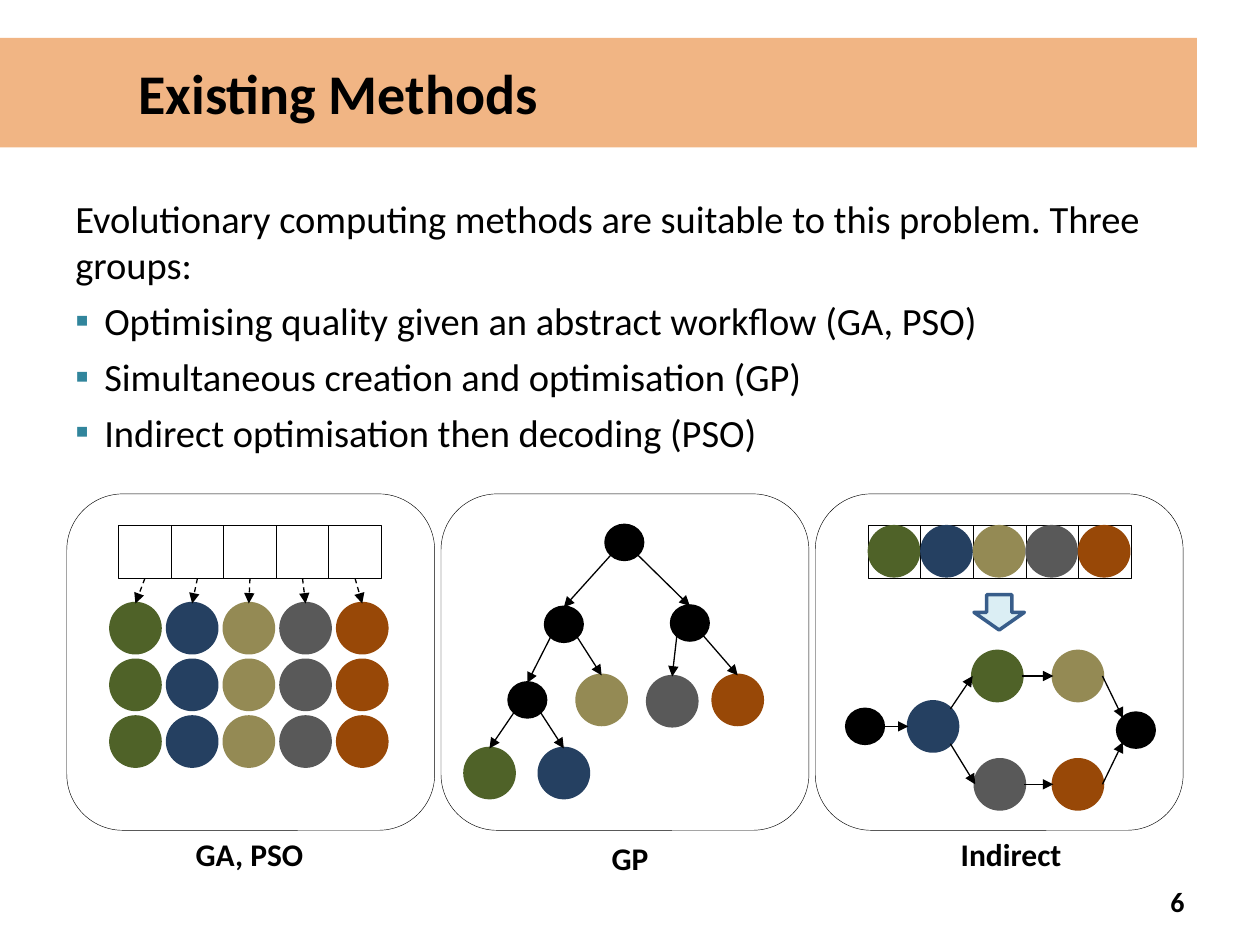
from math import sqrt

from lxml.etree import SubElement
from pptx import Presentation
from pptx.dml.color import RGBColor
from pptx.enum.dml import MSO_LINE
from pptx.enum.shapes import MSO_CONNECTOR, MSO_SHAPE as SHAPE
from pptx.enum.text import MSO_ANCHOR as ANCHOR, PP_ALIGN as ALIGN
from pptx.oxml.ns import qn
from pptx.util import Inches, Pt

FONT = "Calibri"
COLOURS = {
    "banner": "E46C0A", "bullet": "31859C", "black": "000000", "white": "FFFFFF",
    "green": "4F6228", "blue": "254061", "olive": "948A54", "grey": "595959",
    "orange": "984807", "arrow": "DBEEF4", "arrow edge": "385D8A",
}
SERVICES = ["green", "blue", "olive", "grey", "orange"]

TITLE = "Existing Methods"
INTRO = "Evolutionary computing methods are suitable to this problem. Three groups:"
GROUPS = [
    "Optimising quality given an abstract workflow (GA, PSO)",
    "Simultaneous creation and optimisation (GP)",
    "Indirect optimisation then decoding (PSO)",
]
PAGE_NUMBER = "6"
# label, its left, top and width
PANELS = [("GA, PSO", 1.44, 6.58, 1.08), ("GP", 4.75, 6.61, 0.5),
          ("Indirect", 7.21, 6.58, 1.63)]

# node: colour, left, top
TREE_NODES = {
    "root": ("black", 4.81, 4.17), "left": ("black", 4.33, 4.82),
    "right": ("black", 5.33, 4.81), "inner": ("black", 4.04, 5.42),
    "green": ("green", 3.69, 5.94), "blue": ("blue", 4.28, 5.94),
    "olive": ("olive", 4.58, 5.36), "grey": ("grey", 5.14, 5.37),
    "orange": ("orange", 5.66, 5.36),
}
# parent: left child, right child
TREE = {"root": ("left", "right"), "left": ("inner", "olive"),
        "right": ("grey", "orange"), "inner": ("green", "blue")}
FLOW_NODES = {
    "green": ("green", 7.72, 5.17), "blue": ("blue", 7.21, 5.57),
    "grey": ("grey", 7.74, 6.03), "olive": ("olive", 8.36, 5.17),
    "orange": ("orange", 8.36, 6.03), "end": ("black", 8.87, 5.66),
    "start": ("black", 6.72, 5.63),
}
# from node, side, to node, side
FLOW = [
    ("olive", "E", "end", "NW"), ("orange", "E", "end", "SW"),
    ("green", "E", "olive", "W"), ("grey", "E", "orange", "W"),
    ("blue", "NE", "green", "W"), ("blue", "SE", "grey", "W"),
    ("start", "E", "blue", "W"),
]

D = 1 / sqrt(2)
SIDES = {"N": (0, -1), "E": (1, 0), "W": (-1, 0),
         "NE": (D, -D), "SE": (D, D), "SW": (-D, D), "NW": (-D, -D)}
CELL = 0.42
CELL_PITCH = 0.417
CELL_TOP = 4.17
DISC = 0.39
DISC_PITCH = 0.45
DOT = (0.29, 0.27)

prs = Presentation()
prs.slide_width, prs.slide_height = Inches(10), Inches(7.5)
slide = prs.slides.add_slide(prs.slide_layouts[6])


def rgb(name):
    return RGBColor.from_string(COLOURS[name])


def add_block(kind, left, top, width, height, fill, edge=None, weight=0.25,
              parent=slide):
    block = parent.shapes.add_shape(
        kind, Inches(left), Inches(top), Inches(width), Inches(height))
    block.shadow.inherit = False
    block.fill.solid()
    block.fill.fore_color.rgb = rgb(fill)
    if edge:
        block.line.color.rgb = rgb(edge)
        block.line.width = Pt(weight)
    else:
        block.line.fill.background()
    return block


def add_node(colour, left, top):
    width, height = DOT if colour == "black" else (DISC, DISC)
    return add_block(SHAPE.OVAL, left, top, width, height, colour, colour, 2)


def add_cells(left):
    row = slide.shapes.add_group_shape()
    return [add_block(SHAPE.RECTANGLE, left + i * CELL_PITCH, CELL_TOP, CELL, CELL,
                      "white", "black", parent=row) for i in range(len(SERVICES))]


def add_arrow(begin=(0, 0), end=(0, 0)):
    arrow = slide.shapes.add_connector(MSO_CONNECTOR.STRAIGHT, *begin, *end)
    arrow.line.color.rgb = rgb("black")
    arrow.line.width = Pt(0.75)
    SubElement(arrow.line._get_or_add_ln(), qn("a:tailEnd"), type="triangle")
    SubElement(arrow._element.spPr, qn("a:effectLst"))
    return arrow


def rim(node, side):
    """Point on the edge of an oval in a compass direction."""
    dx, dy = SIDES[side]
    return (int(node.left + node.width * (1 + dx) / 2),
            int(node.top + node.height * (1 + dy) / 2))


def add_run(paragraph, text, size, bold=False):
    run = paragraph.add_run()
    run.text = text
    run.font.name, run.font.size, run.font.bold = FONT, Pt(size), bold
    run.font.color.rgb = rgb("black")


def add_text(left, top, width, height, wrap=True):
    frame = slide.shapes.add_textbox(
        Inches(left), Inches(top), Inches(width), Inches(height)).text_frame
    frame.word_wrap = wrap
    return frame


def add_bullet(paragraph):
    props = paragraph._p.get_or_add_pPr()
    props.set("marL", str(Inches(0.23)))
    props.set("indent", str(-Inches(0.23)))
    colour = SubElement(props, qn("a:buClr"))
    SubElement(colour, qn("a:srgbClr"), val=COLOURS["bullet"])
    SubElement(props, qn("a:buFont"), typeface=FONT)
    SubElement(props, qn("a:buChar"), char="▪")


# Title banner and text
banner = add_block(SHAPE.RECTANGLE, 0, 0.3, 9.5, 0.87, "banner")
banner_colour = banner._element.spPr.find(qn("a:solidFill"))[0]
SubElement(banner_colour, qn("a:alpha"), val="50000")
banner.text_frame.margin_left = Inches(1.1)
banner.text_frame.vertical_anchor = ANCHOR.MIDDLE
banner.text_frame.paragraphs[0].alignment = ALIGN.LEFT
add_run(banner.text_frame.paragraphs[0], TITLE, 32, True)

body = add_text(0.5, 1.5, 9, 2.42)
add_run(body.paragraphs[0], INTRO, 22)
for group in GROUPS:
    item = body.add_paragraph()
    add_bullet(item)
    item.space_before = Pt(5.5)
    add_run(item, group, 22)

footer = add_text(7.17, 6.95, 2.33, 0.4)
footer.vertical_anchor = ANCHOR.MIDDLE
footer.paragraphs[0].alignment = ALIGN.RIGHT
add_run(footer.paragraphs[0], PAGE_NUMBER, 16, True)

# Panels
for i, (label, left, top, width) in enumerate(PANELS):
    add_block(SHAPE.ROUNDED_RECTANGLE, 0.53 + i * 2.97, 3.92, 2.92, 2.67,
              "white", "black")
    caption = add_text(left, top, width, 0.4, wrap=False).paragraphs[0]
    caption.alignment = ALIGN.CENTER
    add_run(caption, label, 18, True)

# GA, PSO: each cell picks from a column of services
for i, (cell, colour) in enumerate(zip(add_cells(0.94), SERVICES)):
    column = [add_node(colour, 0.88 + i * DISC_PITCH, 4.79 + j * DISC_PITCH)
              for j in range(3)]
    choice = add_arrow()
    choice.line.dash_style = MSO_LINE.DASH
    choice.begin_connect(cell, 2)
    choice.end_connect(column[0], 0)

# GP: tree
tree = {name: add_node(*node) for name, node in TREE_NODES.items()}
for parent, children in TREE.items():
    for side, child in zip(("SW", "SE"), children):
        add_arrow(rim(tree[parent], side), rim(tree[child], "N"))

# Indirect: sequence decoded into a workflow
add_cells(6.89)
for i, colour in enumerate(SERVICES):
    add_node(colour, 6.9 + i * CELL_PITCH, CELL_TOP + 0.01)
decode = add_block(SHAPE.RIGHT_ARROW, 7.79, 4.66, 0.28, 0.4, "arrow", "arrow edge", 2)
decode.rotation = 90
flow = {name: add_node(*node) for name, node in FLOW_NODES.items()}
for source, out_side, target, in_side in FLOW:
    add_arrow(rim(flow[source], out_side), rim(flow[target], in_side))

prs.save("out.pptx")
